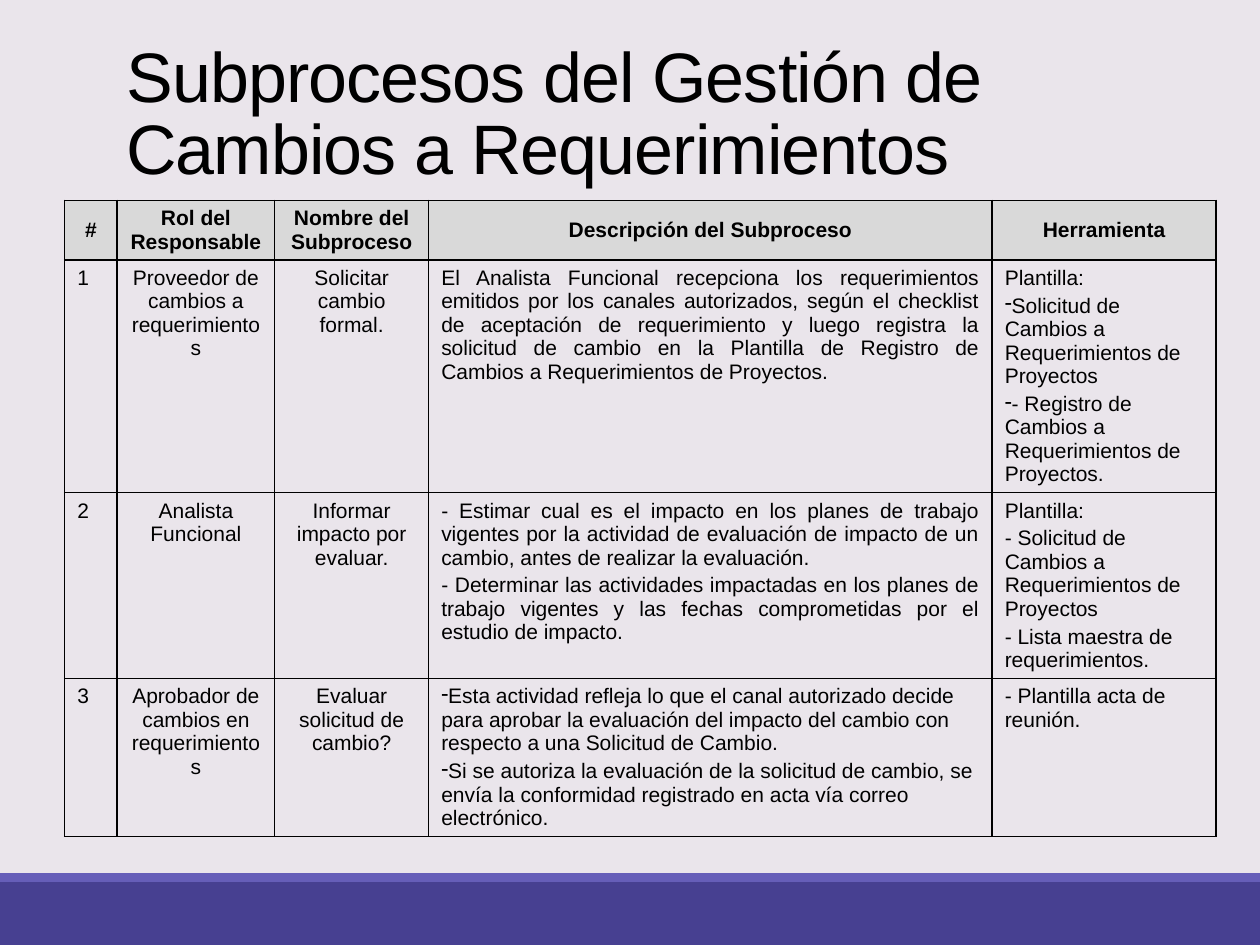
from dataclasses import dataclass
from lxml.etree import SubElement
from pptx import Presentation
from pptx.dml.color import RGBColor as RGB
from pptx.enum.shapes import MSO_SHAPE as SHAPE
from pptx.enum.text import MSO_ANCHOR as ANCHOR, PP_ALIGN as ALIGN
from pptx.oxml.ns import qn
from pptx.util import Pt


@dataclass(frozen=True)
class Theme:
    font: str = "Arial"
    title_size: float = 40
    body_size: float = 12
    text: str = "000000"
    page: str = "EAE5EB"
    header: str = "D9D9D9"
    band: str = "474091"
    stripe: str = "665EB8"


THEME = Theme()
TITLE = "Subprocesos del Gestión de Cambios a Requerimientos"
HEADERS = ["#", "Rol del Responsable", "Nombre del Subproceso",
           "Descripción del Subproceso", "Herramienta"]
COL_WIDTHS = [30, 90, 88, 322, 128]
ROW_HEIGHTS = [34, 133, 106, 90]
BULLET = "•"
JUSTIFIED, LEFT, CENTER = ALIGN.JUSTIFY, ALIGN.LEFT, ALIGN.CENTER
ROWS = [
    (["1"], ["Proveedor de cambios a requerimientos"], ["Solicitar cambio formal."],
     ["El Analista Funcional recepciona los requerimientos emitidos por los canales "
      "autorizados, según el checklist de aceptación de requerimiento y luego registra la "
      "solicitud de cambio en la Plantilla de Registro de Cambios a Requerimientos de "
      "Proyectos."],
     ["Plantilla: ",
      BULLET + "Solicitud de Cambios a Requerimientos de Proyectos",
      BULLET + "- Registro de Cambios a Requerimientos de Proyectos."]),
    (["2"], ["Analista Funcional"], ["Informar impacto por evaluar."],
     ["- Estimar cual es el impacto en los planes de trabajo vigentes por la actividad de "
      "evaluación de impacto de un cambio, antes de realizar la evaluación.",
      "- Determinar las actividades impactadas en los planes de trabajo vigentes y las "
      "fechas comprometidas por el estudio de impacto."],
     ["Plantilla:",
      "- Solicitud de Cambios a Requerimientos de Proyectos",
      "- Lista maestra de requerimientos."]),
    (["3"], ["Aprobador de cambios en requerimientos"], ["Evaluar solicitud de cambio?"],
     [BULLET + "Esta actividad refleja lo que el canal autorizado decide para aprobar la "
      "evaluación del impacto del cambio con respecto a una Solicitud de Cambio.",
      BULLET + "Si se autoriza la evaluación de la solicitud de cambio, se envía la "
      "conformidad registrado en acta vía correo electrónico."],
     ["- Plantilla acta de reunión."]),
]


def set_attrs(obj, values):
    for name, value in values.items():
        setattr(obj, name, value)


def set_font(r, size, bold=False):
    set_attrs(r.font, {"name": THEME.font, "size": Pt(size), "bold": bold})
    r.font.color.rgb = RGB.from_string(THEME.text)


def add_bar(slide, top, height, color):
    sp = slide.shapes.add_shape(SHAPE.RECTANGLE, 0, Pt(top), Pt(720), Pt(height))
    sp.shadow.inherit = False
    sp.fill.solid()
    sp.fill.fore_color.rgb = RGB.from_string(color)
    sp.line.fill.background()


def add_title(slide):
    sp = slide.shapes.title
    set_attrs(sp, {"left": Pt(65), "top": Pt(22.5), "width": Pt(594), "height": Pt(114)})
    tf = sp.text_frame
    set_attrs(tf, {"word_wrap": True, "vertical_anchor": ANCHOR.TOP})
    p = tf.paragraphs[0]
    set_attrs(p, {"alignment": LEFT, "line_spacing": 0.85})
    r = p.add_run()
    r.text = TITLE
    set_font(r, THEME.title_size)
    r.font._element.set("spc", "-50")


def add_borders(cell):
    tc_pr = cell._tc.get_or_add_tcPr()
    for i, side in enumerate(("lnL", "lnR", "lnT", "lnB")):
        ln = tc_pr.makeelement(qn(f"a:{side}"), {"w": str(Pt(1))})
        tc_pr.insert(i, ln)
        fill = SubElement(ln, qn("a:solidFill"))
        SubElement(fill, qn("a:srgbClr"), val=THEME.text)


def fill_cell(cell, lines, align, header=False):
    if header:
        cell.fill.solid()
        cell.fill.fore_color.rgb = RGB.from_string(THEME.header)
    else:
        cell.fill.background()
    cell.vertical_anchor = ANCHOR.MIDDLE if header else ANCHOR.TOP
    add_borders(cell)
    tf = cell.text_frame
    for i, line in enumerate(lines):
        p = tf.add_paragraph() if i else tf.paragraphs[0]
        set_attrs(p, {"alignment": align, "space_before": Pt(2.4 if i else 0)})
        if line.startswith(BULLET):
            SubElement(p._p.get_or_add_pPr(), qn("a:buChar"), char="-")
        r = p.add_run()
        r.text = line.removeprefix(BULLET)
        set_font(r, THEME.body_size, header)


def add_process_table(slide):
    frame = slide.shapes.add_table(len(ROW_HEIGHTS), len(COL_WIDTHS), Pt(37), Pt(114.5),
                                   Pt(sum(COL_WIDTHS)), Pt(sum(ROW_HEIGHTS)))
    table = frame.table
    table.horz_banding = False
    for col, width in zip(table.columns, COL_WIDTHS):
        col.width = Pt(width)
    for row, height in zip(table.rows, ROW_HEIGHTS):
        row.height = Pt(height)
    for c, text in enumerate(HEADERS):
        fill_cell(table.cell(0, c), [text], CENTER, header=True)
    for r, row in enumerate(ROWS, 1):
        description = LEFT if row[3][0].startswith(BULLET) else JUSTIFIED
        aligns = [LEFT, CENTER, CENTER, description, LEFT]
        for c, (lines, align) in enumerate(zip(row, aligns)):
            fill_cell(table.cell(r, c), lines, align)


def main():
    prs = Presentation()
    set_attrs(prs, {"slide_width": Pt(720), "slide_height": Pt(540)})
    slide = prs.slides.add_slide(prs.slide_layouts[5])
    slide.background.fill.solid()
    slide.background.fill.fore_color.rgb = RGB.from_string(THEME.page)
    add_bar(slide, 504, 36, THEME.band)
    add_bar(slide, 499, 5, THEME.stripe)
    add_title(slide)
    add_process_table(slide)
    prs.save("out.pptx")


main()
